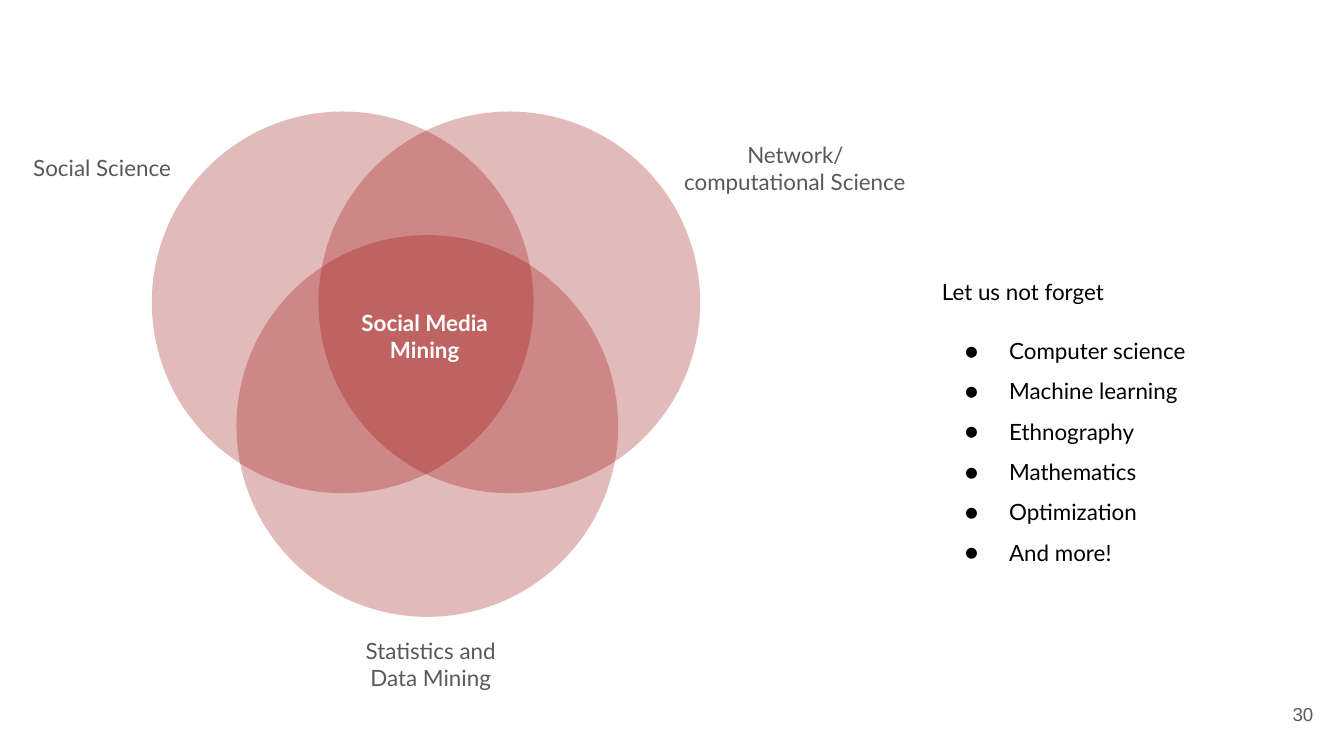
"""Build a slide on the disciplines that meet in social media mining."""
from dataclasses import dataclass

from lxml.etree import SubElement
from pptx import Presentation
from pptx.dml.color import RGBColor
from pptx.enum.shapes import MSO_SHAPE
from pptx.enum.text import MSO_ANCHOR, PP_ALIGN
from pptx.oxml.ns import qn
from pptx.util import Inches, Pt


@dataclass(frozen=True)
class Theme:
    circle: RGBColor = RGBColor(0x98, 0x00, 0x00)
    circle_alpha: int = 27000
    label: RGBColor = RGBColor(0x59, 0x59, 0x59)
    core: RGBColor = RGBColor(0xFF, 0xFF, 0xFF)
    body: RGBColor = RGBColor(0x00, 0x00, 0x00)
    font: str = "Lato"
    number_font: str = "Arial"
    size: Pt = Pt(12)
    number_size: Pt = Pt(10)


theme = Theme()
deck = Presentation()
deck.slide_width = Inches(10)
deck.slide_height = deck.slide_width * 9 // 16
slide = deck.slides.add_slide(deck.slide_layouts[6])
column = deck.slide_width / 100
row = deck.slide_height / 56.25


def box(left, top, width, height):
    return [round(left * column), round(top * row), round(width * column), round(height * row)]


def write(area, lines, color, align=PP_ALIGN.CENTER, anchor=MSO_ANCHOR.MIDDLE,
          font=theme.font, size=theme.size, bold=False):
    frame = slide.shapes.add_textbox(*box(*area)).text_frame
    frame.word_wrap = True
    frame.vertical_anchor = anchor
    frame.margin_left = frame.margin_right = frame.margin_top = frame.margin_bottom = round(column)
    frame.text = "\n".join(lines)
    for paragraph in frame.paragraphs:
        paragraph.alignment = align
        style = paragraph.runs[0].font
        style.name, style.size, style.bold = font, size, bold
        style.color.rgb = color
    return frame.paragraphs


diameter = 28.4
for left, top in [(11.3, 8.3), (23.7, 8.3), (17.6, 17.5)]:
    discipline = slide.shapes.add_shape(MSO_SHAPE.OVAL, *box(left, top, diameter, diameter))
    discipline.shadow.inherit = False
    discipline.line.fill.background()
    discipline.fill.solid()
    discipline.fill.fore_color.rgb = theme.circle
    tint = discipline.fill._xPr.find(qn("a:solidFill"))[0]
    SubElement(tint, qn("a:alpha"), val=str(theme.circle_alpha))

for name, area in [
    ("Social Science", (1.2, 10.7, 12.8, 3.6)),
    ("Network/computational Science", (49.6, 10.7, 19.1, 3.6)),
    ("Statistics and Data Mining", (24.5, 47.6, 15.1, 3.6)),
]:
    write(area, [name], theme.label)

write((25.2, 22.6, 12.8, 4.8), ["Social Media Mining"], theme.core, bold=True)
write((92.7, 51, 6, 4.3), ["30"], theme.label, PP_ALIGN.RIGHT,
      font=theme.number_font, size=theme.number_size)

reminder, *fields = write(
    (69.1, 18.7, 27.5, 31.3),
    ["Let us not forget", "Computer science", "Machine learning", "Ethnography",
     "Mathematics", "Optimization", "And more!"],
    theme.body, PP_ALIGN.LEFT, MSO_ANCHOR.TOP)
for paragraph in [reminder, *fields]:
    paragraph.line_spacing = 1.5
fields[0].space_before = Pt(10)
for field in fields:
    properties = field._p.get_or_add_pPr()
    properties.set("marL", str(round(5 * column)))
    properties.set("indent", str(round(-3.3 * column)))
    bullet_color = SubElement(properties, qn("a:buClr"))
    SubElement(bullet_color, qn("a:srgbClr"), val=str(theme.body))
    SubElement(properties, qn("a:buFont"), typeface=theme.font)
    SubElement(properties, qn("a:buChar"), char="●")

deck.save("out.pptx")
